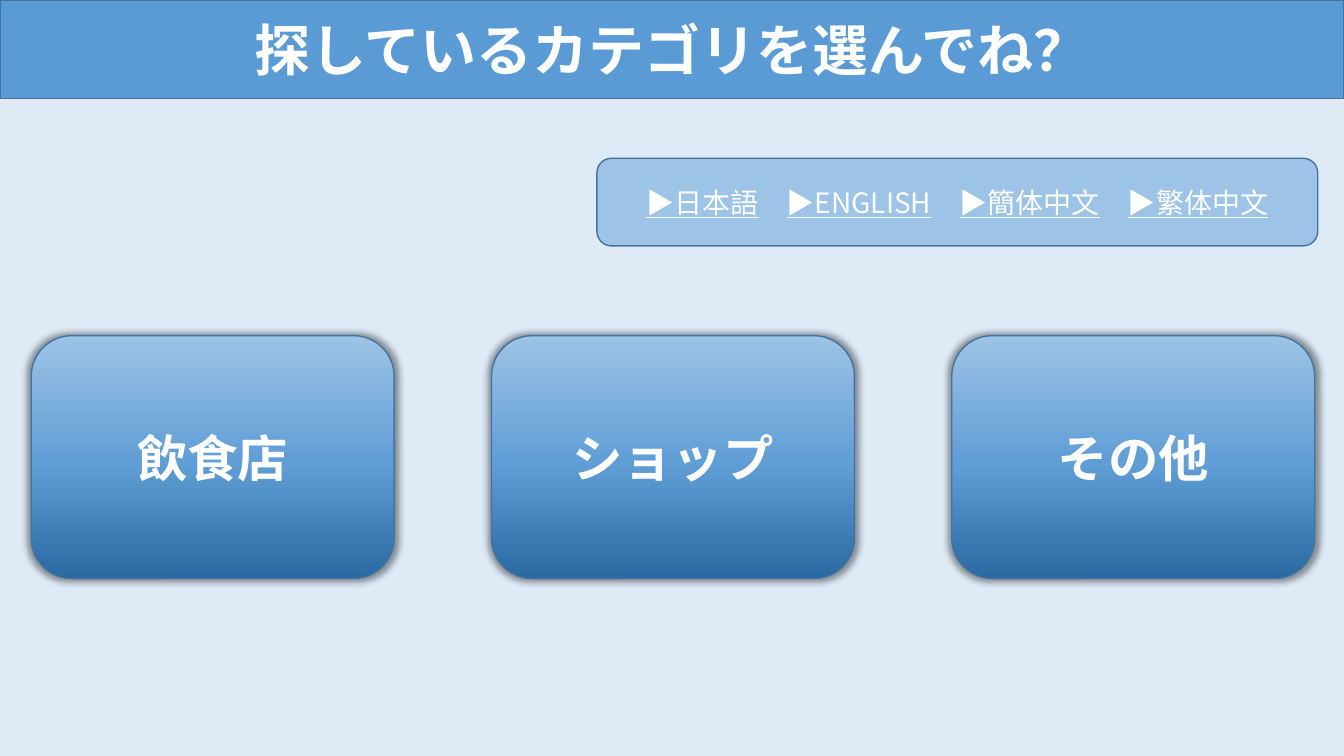
import copy
import dataclasses

import lxml.etree
import pptx
import pptx.dml.color
import pptx.enum.shapes
import pptx.enum.text
import pptx.oxml.ns
import pptx.shapes.autoshape
import pptx.util

Inches = pptx.util.Inches
RGBColor = pptx.dml.color.RGBColor
Kind = pptx.enum.shapes.MSO_SHAPE
Shape = pptx.shapes.autoshape.Shape
qn = pptx.oxml.ns.qn

FONT = "Noto Sans CJK JP"
WHITE = RGBColor(0xFF, 0xFF, 0xFF)
PALE = RGBColor(0xDE, 0xEB, 0xF7)
LIGHT = RGBColor(0x9D, 0xC3, 0xE6)
BLUE = RGBColor(0x5B, 0x9B, 0xD5)
EDGE = RGBColor(0x43, 0x73, 0x9E)
STOPS = [(0, RGBColor(0x2A, 0x69, 0xA2)), (0.48, RGBColor(0x60, 0x9E, 0xD6)), (1, LIGHT)]


@dataclasses.dataclass
class Box:
    left: float
    top: float
    width: float
    height: float
    kind: Kind


BANNER = Box(0, 0, 13.33, 0.98, Kind.RECTANGLE)
MENU = Box(5.92, 1.57, 7.15, 0.87, Kind.FLOWCHART_ALTERNATE_PROCESS)
LANGS = ["▶日本語", "▶ENGLISH", "▶簡体中文", "▶繁体中文"]
SHOPS = ["飲食店", "ショップ", "その他"]
LEFT, STEP = 0.31, 4.565


def draw(slide, box: Box) -> Shape:
    shape = slide.shapes.add_shape(
        box.kind, Inches(box.left), Inches(box.top), Inches(box.width), Inches(box.height))
    shape.shadow.inherit = False
    shape.line.color.rgb = EDGE
    shape.line.width = pptx.util.Pt(1)
    frame = shape.text_frame
    frame.word_wrap = True
    frame.vertical_anchor = pptx.enum.text.MSO_ANCHOR.MIDDLE
    frame.paragraphs[0].alignment = pptx.enum.text.PP_ALIGN.CENTER
    return shape


def write(shape: Shape, text: str, *, size: int, bold: bool = False, under: bool = False) -> None:
    """Add one run to the shape's paragraph."""
    run = shape.text_frame.paragraphs[0].add_run()
    run.text = text
    font = run.font
    font.size = pptx.util.Pt(size)
    font.bold = bold
    font.underline = under
    font.color.rgb = WHITE
    font.name = FONT
    props = run._r.get_or_add_rPr()
    lxml.etree.SubElement(props, qn("a:ea"), typeface=FONT)


def paint(shape: Shape, color: RGBColor) -> None:
    shape.fill.solid()
    shape.fill.fore_color.rgb = color


def shade(shape: Shape) -> None:
    """Fill from dark at the bottom to light at the top."""
    fill = shape.fill
    fill.gradient()
    fill.gradient_angle = 90
    nodes = shape._element.spPr.find(".//" + qn("a:gsLst"))
    nodes.append(copy.deepcopy(nodes[0]))
    for node, stop, (place, color) in zip(nodes, fill.gradient_stops, STOPS):
        stop.color.rgb = color
        node.set("pos", str(round(place * 100000)))


def glow(shape: Shape) -> None:
    """Add a soft, centred shadow slightly larger than the shape."""
    effects = shape._element.spPr.find(qn("a:effectLst"))
    outer = lxml.etree.SubElement(
        effects, qn("a:outerShdw"), blurRad=str(pptx.util.Pt(5)),
        sx="102000", sy="102000", algn="ctr", rotWithShape="0")
    color = lxml.etree.SubElement(outer, qn("a:srgbClr"), val="000000")
    lxml.etree.SubElement(color, qn("a:alpha"), val="40000")


def main() -> None:
    deck = pptx.Presentation()
    deck.slide_width, deck.slide_height = Inches(13.33), Inches(7.5)
    slide = deck.slides.add_slide(deck.slide_layouts[6])
    back = slide.background.fill
    back.solid()
    back.fore_color.rgb = PALE

    banner = draw(slide, BANNER)
    paint(banner, BLUE)
    write(banner, "探しているカテゴリを選んでね？", size=40, bold=True)

    menu = draw(slide, MENU)
    paint(menu, LIGHT)
    for index, lang in enumerate(LANGS):
        if index:
            write(menu, "　", size=20)
        write(menu, lang, size=20, under=True)

    for index, shop in enumerate(SHOPS):
        card = draw(slide, Box(LEFT + index * STEP, 3.33, 3.6, 2.41, Kind.ROUNDED_RECTANGLE))
        shade(card)
        glow(card)
        write(card, shop, size=36, bold=True)

    deck.save("out.pptx")


if __name__ == "__main__":
    main()
